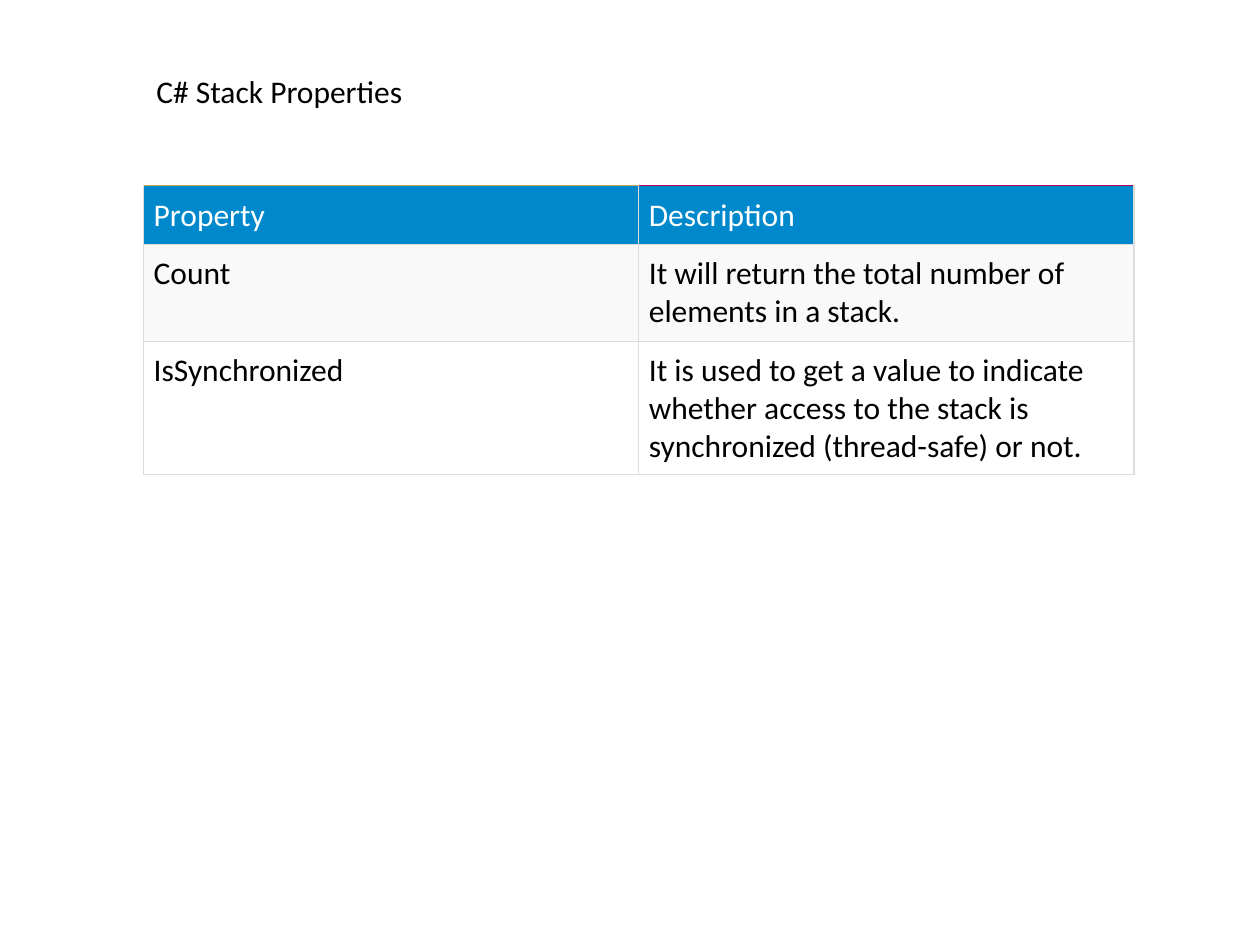
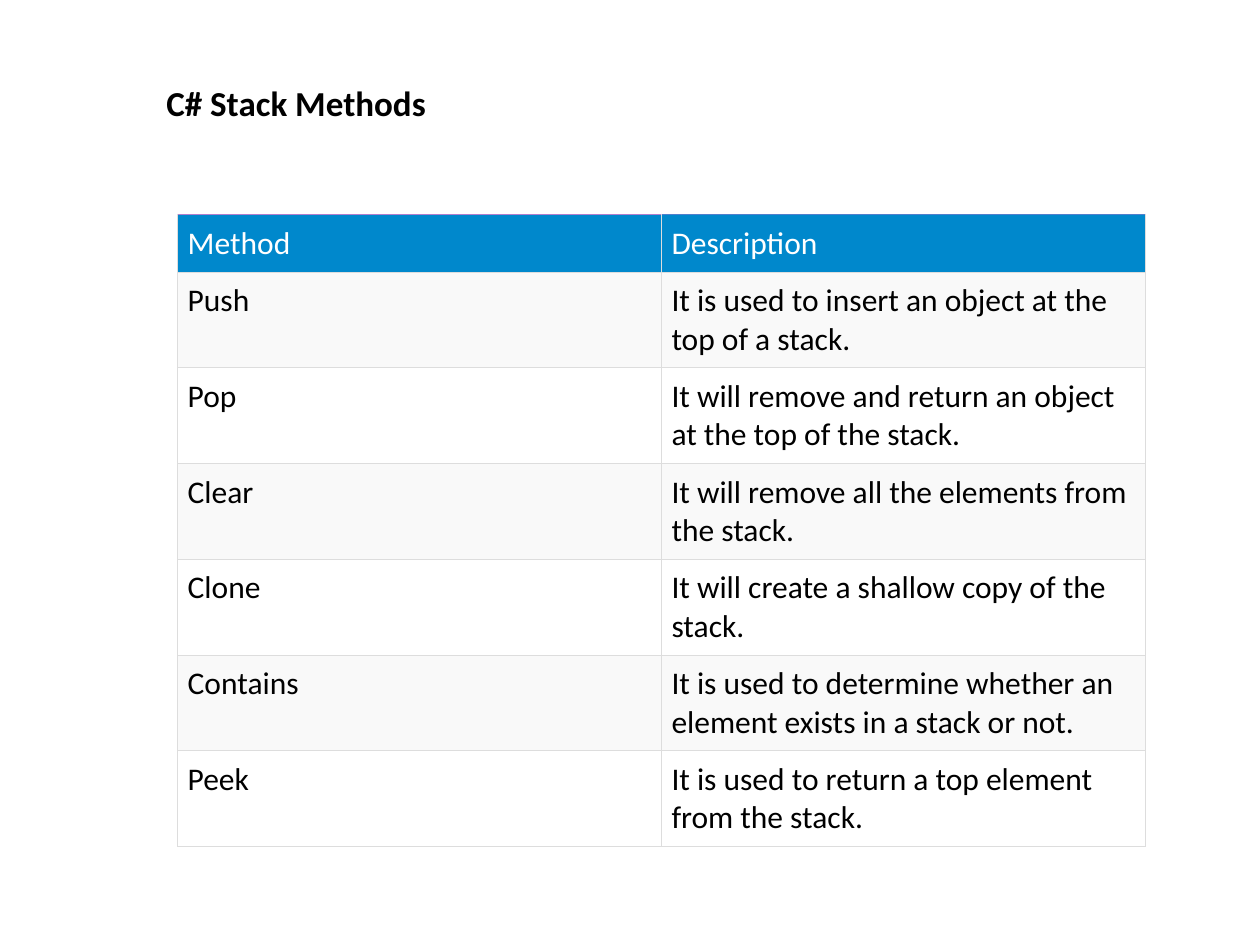
from lxml import etree
from pptx import Presentation
from pptx.dml.color import RGBColor
from pptx.enum.text import MSO_ANCHOR, MSO_AUTO_SIZE, PP_ALIGN
from pptx.oxml.ns import qn
from pptx.util import Pt

LEFT = PP_ALIGN.LEFT
TOP, BOTTOM = MSO_ANCHOR.TOP, MSO_ANCHOR.BOTTOM
FIT_SHAPE = MSO_AUTO_SIZE.SHAPE_TO_FIT_TEXT
EMU_PER_PX = 9144  # 100 px to the inch
TITLE_ONLY_LAYOUT = 5


def px(length):
    return length * EMU_PER_PX


def color(hex_string):
    return RGBColor.from_string(hex_string)


class Deck:
    """Holds the shared style and the slide being filled."""
    font = "Calibri"
    ink, header_ink = "000000", "FFFFFF"
    header_fill, band_fills = "0088CC", ("F9F9F9", "FFFFFF")
    border = "DDDDDD"
    text_size = 18
    side_padding, end_padding = px(8), Pt(5.5)

    def __init__(self):
        self.presentation = Presentation()
        self.presentation.slide_width = px(1000)
        self.presentation.slide_height = px(750)
        self.slide = None

    def new_slide(self):
        layout = self.presentation.slide_layouts[TITLE_ONLY_LAYOUT]
        self.slide = self.presentation.slides.add_slide(layout)

    def add_text(self, frame, text, size, ink, bold=False):
        paragraph = frame.paragraphs[0]
        paragraph.alignment = LEFT
        run = paragraph.add_run()
        run.text = text
        run.font.name = self.font
        run.font.size = Pt(size)
        run.font.bold = bold
        run.font.color.rgb = color(ink)

    def title(self, text, left, top, width, height, size, bold=False):
        shape = self.slide.shapes.title
        shape.left, shape.top = px(left), px(top)
        shape.width, shape.height = px(width), px(height)
        frame = shape.text_frame
        frame.word_wrap = False
        frame.auto_size = FIT_SHAPE
        frame.vertical_anchor = TOP
        self.add_text(frame, text, size, self.ink, bold)

    def cell_borders(self, cell, top_color):
        properties = cell._tc.get_or_add_tcPr()
        edges = {"L": self.border, "R": self.border, "T": top_color, "B": self.border}
        for side, hex_string in edges.items():
            line = etree.SubElement(properties, qn(f"a:ln{side}"), w=str(Pt(0.75)))
            fill = etree.SubElement(line, qn("a:solidFill"))
            etree.SubElement(fill, qn("a:srgbClr"), val=hex_string)

    def cell(self, cell, text, fill, ink, anchor, top_color):
        self.cell_borders(cell, top_color)
        cell.fill.solid()
        cell.fill.fore_color.rgb = color(fill)
        cell.margin_left = cell.margin_right = self.side_padding
        cell.margin_top = cell.margin_bottom = self.end_padding
        cell.vertical_anchor = anchor
        self.add_text(cell.text_frame, text, self.text_size, ink)

    def table(self, rows, left, top, column_width, row_heights, header_tops):
        columns = len(rows[0])
        table = self.slide.shapes.add_table(
            len(rows), columns, px(left), px(top),
            px(column_width * columns), px(sum(row_heights))).table
        table.first_row = table.horz_banding = False
        for column in table.columns:
            column.width = px(column_width)
        for index, (texts, height) in enumerate(zip(rows, row_heights)):
            table.rows[index].height = px(height)
            for position, text in enumerate(texts):
                cell = table.cell(index, position)
                if index == 0:
                    self.cell(cell, text, self.header_fill, self.header_ink,
                              BOTTOM, header_tops[position])
                else:
                    self.cell(cell, text, self.band_fills[(index - 1) % 2],
                              self.ink, TOP, self.border)


PROPERTIES = [
    ("Property", "Description"),
    ("Count", "It will return the total number of elements in a stack."),
    ("IsSynchronized", "It is used to get a value to indicate whether access "
                       "to the stack is synchronized (thread-safe) or not."),
]
METHODS = [
    ("Method", "Description"),
    ("Push", "It is used to insert an object at the top of a stack."),
    ("Pop", "It will remove and return an object at the top of the stack."),
    ("Clear", "It will remove all the elements from the stack."),
    ("Clone", "It will create a shallow copy of the stack."),
    ("Contains", "It is used to determine whether an element exists in a stack or not."),
    ("Peek", "It is used to return a top element from the stack."),
]


def main():
    deck = Deck()

    # Stack properties
    deck.new_slide()
    deck.title("C# Stack Properties", 114, 52, 218, 40, size=18)
    deck.table(PROPERTIES, 114, 147, 393, [47, 77, 106], ["C0A954", "B00067"])

    # Stack methods
    deck.new_slide()
    deck.title("C# Stack Methods", 122, 60, 228, 44, size=20, bold=True)
    method_heights = [46] + [76] * (len(METHODS) - 1)
    deck.table(METHODS, 141, 170, 384, method_heights, ["B07ECC", "507FCC"])

    deck.presentation.save("out.pptx")


if __name__ == "__main__":
    main()
